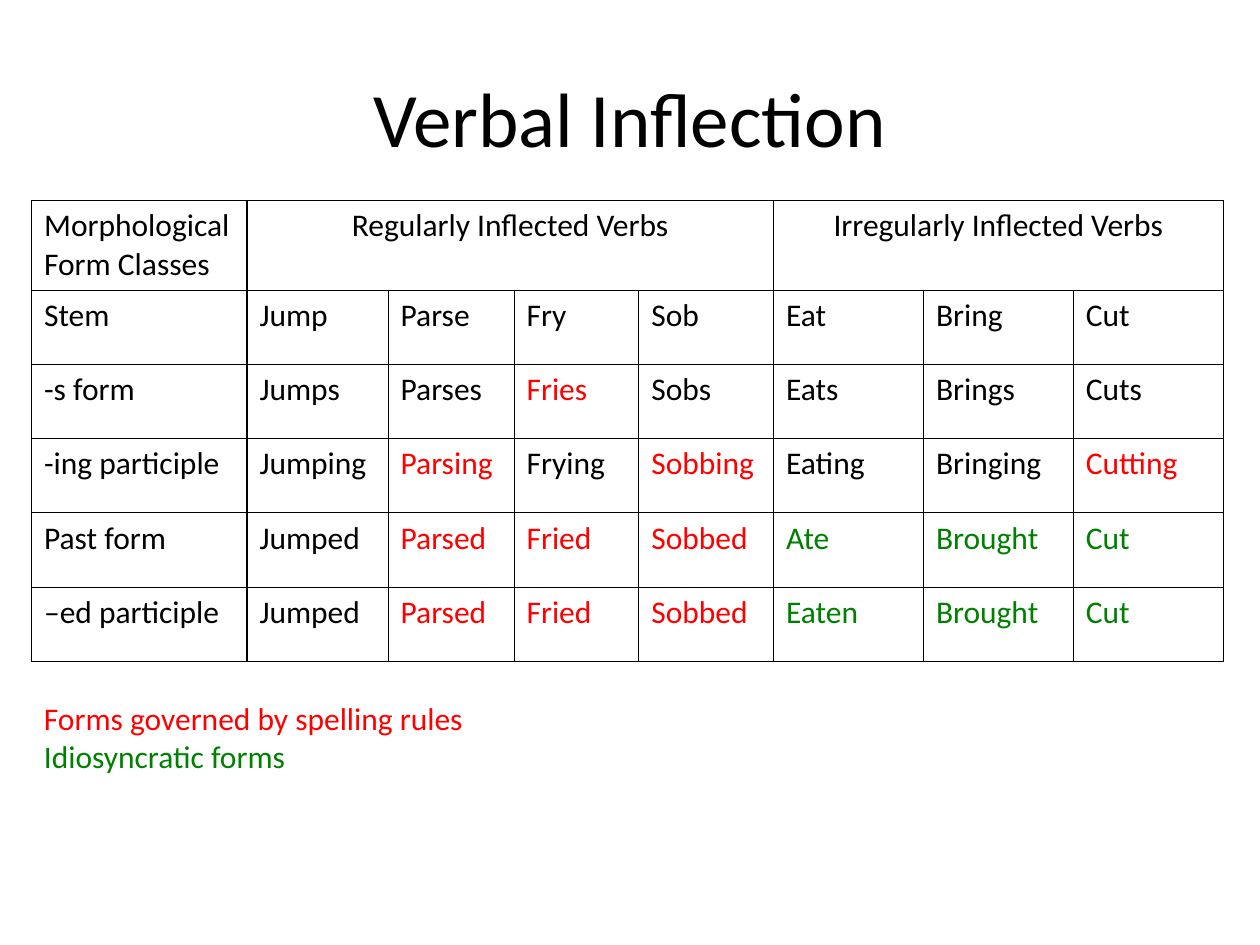
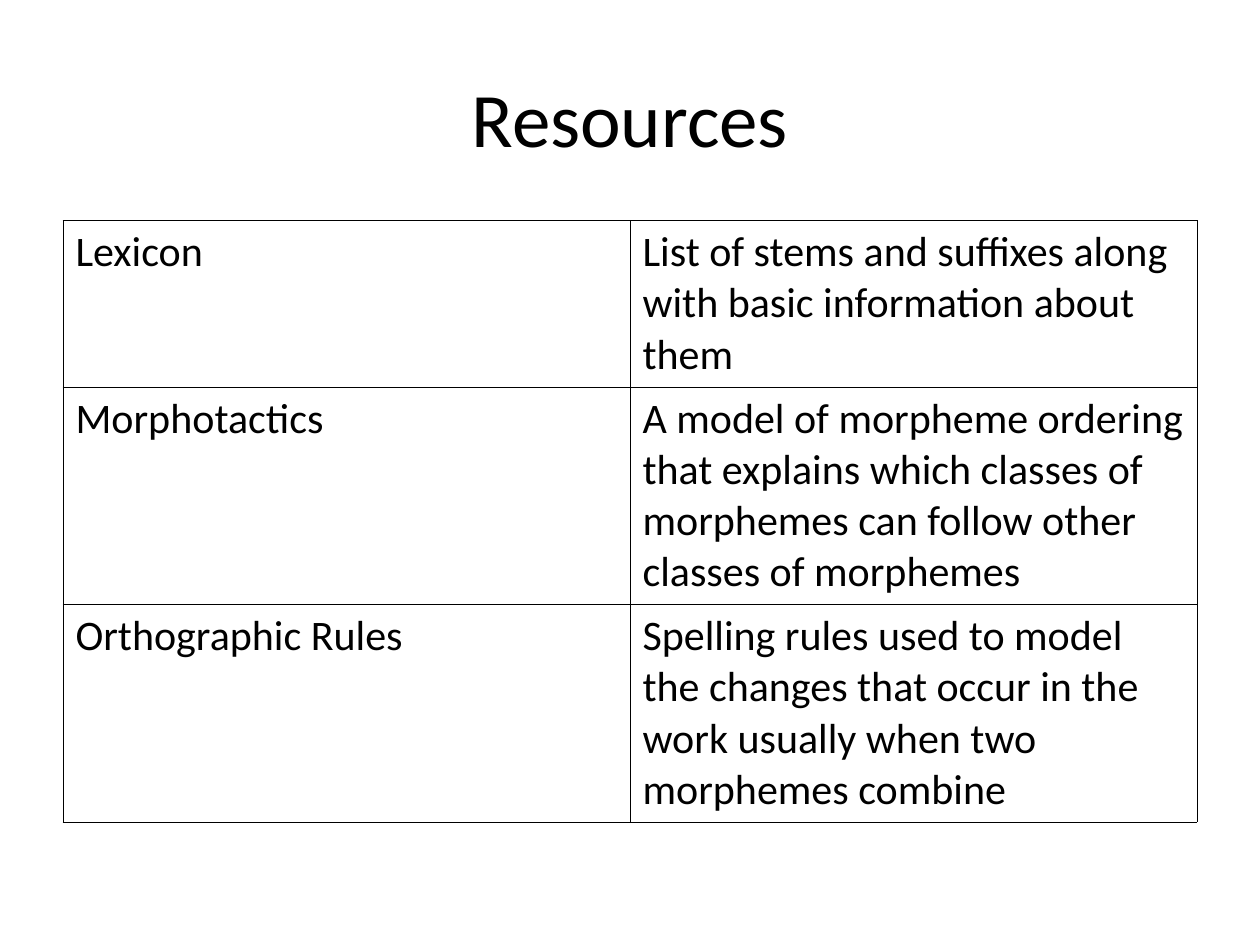
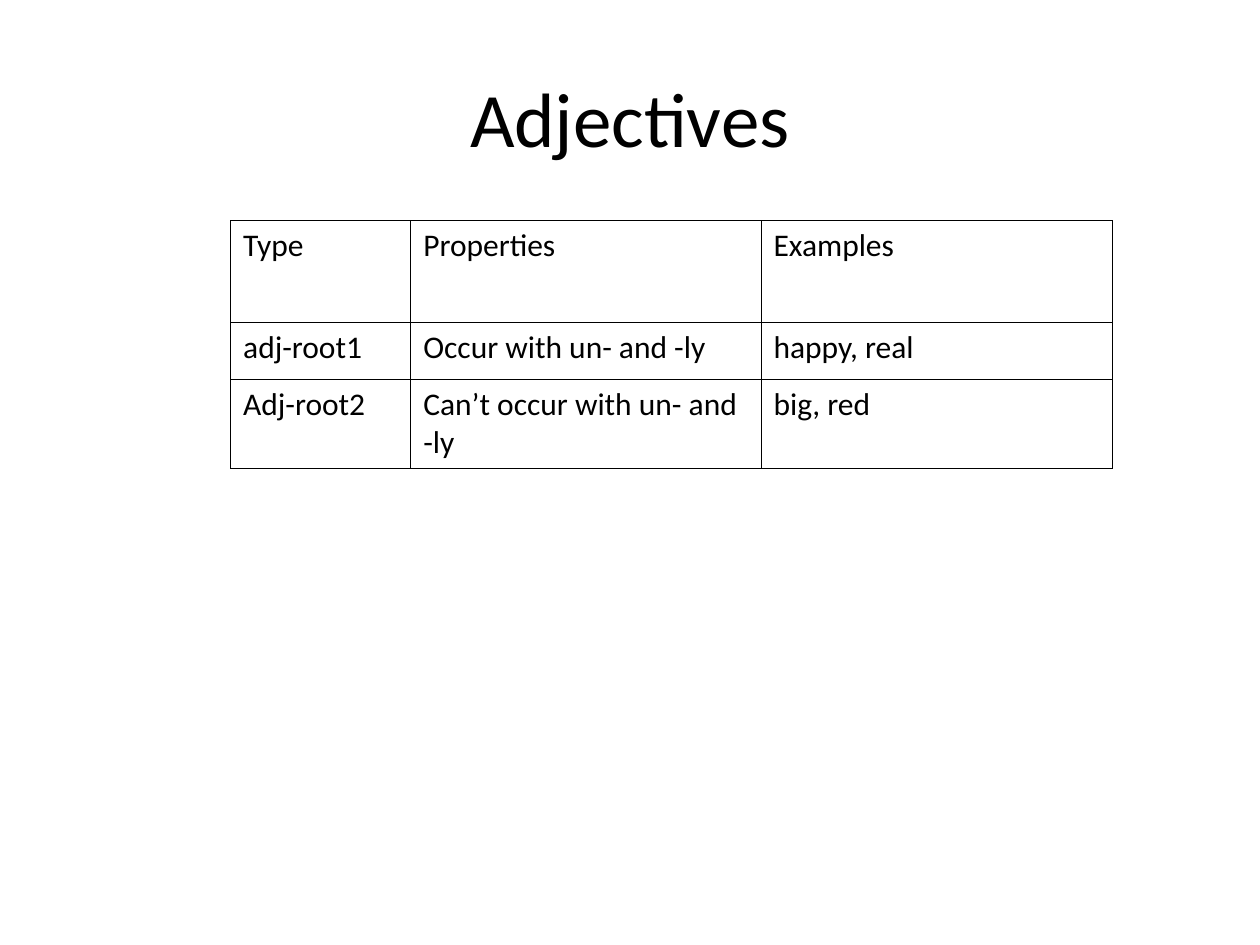
"""Build three slides on verb forms, morphology resources and adjective classes."""
import dataclasses
import typing

import lxml.etree
import pptx
import pptx.dml.color
import pptx.enum.text
import pptx.oxml.ns
import pptx.slide
import pptx.table
import pptx.text.text
import pptx.util

Inches = pptx.util.Inches
Pt = pptx.util.Pt
RGBColor = pptx.dml.color.RGBColor
CENTER = pptx.enum.text.PP_ALIGN.CENTER

FONT = "Calibri"
BLACK = RGBColor(0x00, 0x00, 0x00)
RED = RGBColor(0xFF, 0x00, 0x00)
GREEN = RGBColor(0x00, 0x80, 0x00)
TITLE_SIZE = Pt(44)
TEXT_SIZE = Pt(18)
THIN_LINE = Pt(0.45)
THICK_LINE = Pt(1.08)
TITLE_ONLY_LAYOUT = 5


class Entry(typing.NamedTuple):
    """Text of a cell or line, its colour and how many columns it covers."""

    text: str
    color: RGBColor = BLACK
    span: int = 1


@dataclasses.dataclass(frozen=True)
class Grid:
    """A bordered table; thick_edges lists column boundaries with a thick line."""

    left: float
    top: float
    widths: list[float]
    heights: list[float]
    rows: list[list[Entry]]
    size: pptx.util.Length = TEXT_SIZE
    thick_edges: frozenset[int] = frozenset()


@dataclasses.dataclass(frozen=True)
class Page:
    """A titled slide with one table and an optional colour legend."""

    title: str
    grid: Grid
    legend: tuple[Entry, ...] = ()


def entries(*texts: str, color: RGBColor = BLACK) -> list[Entry]:
    """Return entries that share one colour."""
    return [Entry(text, color) for text in texts]


VERBS = Grid(
    left=0.25,
    top=1.59,
    widths=[1.71, 1.12, 1, 0.99, 1.07] + [1.19] * 3,
    heights=[0.7] + [0.59] * 5,
    thick_edges=frozenset({1, 5}),
    rows=[
        [
            Entry("Morphological Form Classes"),
            Entry("Regularly Inflected Verbs", span=4),
            Entry("Irregularly Inflected Verbs", span=3),
        ],
        entries("Stem", "Jump", "Parse", "Fry", "Sob", "Eat", "Bring", "Cut"),
        entries("-s form", "Jumps", "Parses")
        + entries("Fries", color=RED)
        + entries("Sobs", "Eats", "Brings", "Cuts"),
        entries("-ing participle", "Jumping")
        + entries("Parsing", color=RED)
        + entries("Frying")
        + entries("Sobbing", color=RED)
        + entries("Eating", "Bringing")
        + entries("Cutting", color=RED),
        entries("Past form", "Jumped")
        + entries("Parsed", "Fried", "Sobbed", color=RED)
        + entries("Ate", "Brought", "Cut", color=GREEN),
        entries("–ed participle", "Jumped")
        + entries("Parsed", "Fried", "Sobbed", color=RED)
        + entries("Eaten", "Brought", "Cut", color=GREEN),
    ],
)

RESOURCES = Grid(
    left=0.5,
    top=1.75,
    widths=[4.5, 4.5],
    heights=[1.3, 1.7, 1.7],
    size=Pt(24),
    rows=[
        entries(
            "Lexicon",
            "List of stems and suffixes along with basic information about them",
        ),
        entries(
            "Morphotactics",
            "A model of morpheme ordering that explains which classes of "
            "morphemes can follow other classes of morphemes",
        ),
        entries(
            "Orthographic Rules",
            "Spelling rules used to model the changes that occur in the work "
            "usually when two morphemes combine",
        ),
    ],
)

ADJECTIVES = Grid(
    left=1.83,
    top=1.75,
    widths=[1.43, 2.78, 2.79],
    heights=[0.81, 0.45, 0.7],
    rows=[
        entries("Type", "Properties", "Examples"),
        entries("adj-root1", "Occur with un- and -ly", "happy, real"),
        entries("Adj-root2", "Can’t occur with un- and -ly", "big, red"),
    ],
)

PAGES = [
    Page(
        "Verbal Inflection",
        VERBS,
        (
            Entry("Forms governed by spelling rules", RED),
            Entry("Idiosyncratic forms", GREEN),
        ),
    ),
    Page("Resources", RESOURCES),
    Page("Adjectives", ADJECTIVES),
]


def add_text(
    paragraph: pptx.text.text._Paragraph, entry: Entry, size: pptx.util.Length
) -> None:
    """Add one formatted run to a paragraph."""
    run = paragraph.add_run()
    run.text = entry.text
    run.font.name = FONT
    run.font.size = size
    run.font.color.rgb = entry.color


def set_borders(cell: pptx.table._Cell, widths: dict[str, pptx.util.Length]) -> None:
    """Draw black cell borders from widths keyed by side letter."""
    cell.fill.background()
    properties = cell._tc.get_or_add_tcPr()
    for position, (side, width) in enumerate(widths.items()):
        line = lxml.etree.Element(
            pptx.oxml.ns.qn(f"a:ln{side}"), {"w": str(int(width))}
        )
        fill = lxml.etree.SubElement(line, pptx.oxml.ns.qn("a:solidFill"))
        lxml.etree.SubElement(
            fill, pptx.oxml.ns.qn("a:srgbClr"), {"val": str(BLACK)}
        )
        properties.insert(position, line)


def fill_row(table: pptx.table.Table, row: int, grid: Grid) -> None:
    """Write and border the cells of one row, merging where an entry spans."""
    column = 0
    for entry in grid.rows[row]:
        cell = table.cell(row, column)
        end = column + entry.span
        if entry.span > 1:
            cell.merge(table.cell(row, end - 1))
        paragraph = cell.text_frame.paragraphs[0]
        if entry.span > 1:
            paragraph.alignment = CENTER
        add_text(paragraph, entry, grid.size)
        left, right = (
            THICK_LINE if edge in grid.thick_edges else THIN_LINE
            for edge in (column, end)
        )
        borders = {"L": left, "R": right, "T": THIN_LINE, "B": THIN_LINE}
        for covered in range(column, end):
            set_borders(table.cell(row, covered), borders)
        column = end


def add_grid(slide: pptx.slide.Slide, grid: Grid) -> None:
    """Add a table with plain cells and black borders."""
    table = slide.shapes.add_table(
        len(grid.heights),
        len(grid.widths),
        Inches(grid.left),
        Inches(grid.top),
        Inches(sum(grid.widths)),
        Inches(sum(grid.heights)),
    ).table
    table.first_row = False
    table.horz_banding = False
    for column, width in zip(table.columns, grid.widths):
        column.width = Inches(width)
    for index, height in enumerate(grid.heights):
        table.rows[index].height = Inches(height)
        fill_row(table, index, grid)


def add_legend(slide: pptx.slide.Slide, lines: tuple[Entry, ...]) -> None:
    """Add the lines that explain the text colours."""
    shape = slide.shapes.add_textbox(
        Inches(0.25), Inches(5.5), Inches(4.25), Inches(0.7)
    )
    frame = shape.text_frame
    frame.word_wrap = True
    for index, entry in enumerate(lines):
        paragraph = frame.add_paragraph() if index else frame.paragraphs[0]
        add_text(paragraph, entry, TEXT_SIZE)


def add_page(presentation: pptx.presentation.Presentation, page: Page) -> None:
    """Add one slide with its title, table and legend."""
    slide = presentation.slides.add_slide(
        presentation.slide_layouts[TITLE_ONLY_LAYOUT]
    )
    title = slide.shapes.title
    title.left, title.top = Inches(0.5), Inches(0.3)
    title.width, title.height = Inches(9), Inches(1.25)
    paragraph = title.text_frame.paragraphs[0]
    paragraph.alignment = CENTER
    add_text(paragraph, Entry(page.title), TITLE_SIZE)
    add_grid(slide, page.grid)
    if page.legend:
        add_legend(slide, page.legend)


def main() -> None:
    """Build and save the presentation."""
    presentation = pptx.Presentation()
    presentation.slide_width = Inches(10)
    presentation.slide_height = Inches(7.5)
    for page in PAGES:
        add_page(presentation, page)
    presentation.save("out.pptx")


if __name__ == "__main__":
    main()
